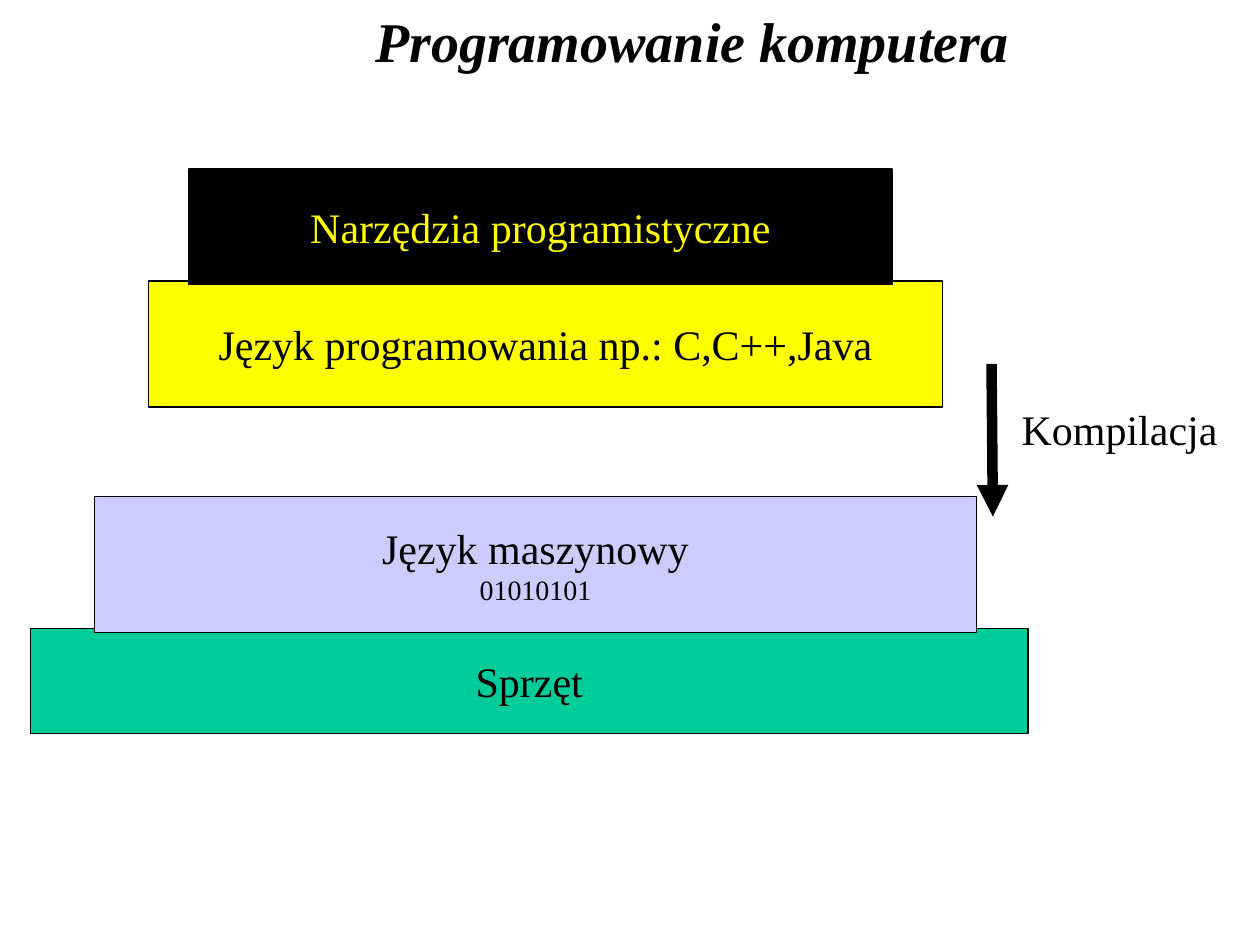
import pptx
import pptx.dml.color
import pptx.enum.shapes
import pptx.enum.text
import pptx.oxml
import pptx.oxml.ns
import pptx.util
from pptx.util import Inches


def color(value):
    return pptx.dml.color.RGBColor.from_string(value)


def write(paragraph, text, size=24, fill="000000", bold=False, italic=False,
          font="Times New Roman", align=pptx.enum.text.PP_ALIGN.LEFT):
    paragraph.alignment = align
    run = paragraph.add_run()
    run.text = text
    run.font.name = font
    run.font.size = pptx.util.Pt(size)
    run.font.bold = bold
    run.font.italic = italic
    run.font.color.rgb = color(fill)


class Diagram:
    ink = "000000"
    outline = 0.75

    def __init__(self, slide):
        self.slide = slide

    def label(self, text, left, top, width, height, **style):
        shape = self.slide.shapes.add_textbox(
            Inches(left), Inches(top), Inches(width), Inches(height))
        frame = shape.text_frame
        frame.word_wrap = False
        frame.auto_size = pptx.enum.text.MSO_AUTO_SIZE.SHAPE_TO_FIT_TEXT
        write(frame.paragraphs[0], text, **style)

    def layer(self, lines, left, top, width, height, fill, text_fill=ink):
        shape = self.slide.shapes.add_shape(
            pptx.enum.shapes.MSO_SHAPE.RECTANGLE,
            Inches(left), Inches(top), Inches(width), Inches(height))
        shape.shadow.inherit = False
        shape.fill.solid()
        shape.fill.fore_color.rgb = color(fill)
        shape.line.color.rgb = color(self.ink)
        shape.line.width = pptx.util.Pt(self.outline)
        frame = shape.text_frame
        frame.word_wrap = False
        frame.vertical_anchor = pptx.enum.text.MSO_ANCHOR.MIDDLE
        for index, (text, size) in enumerate(lines):
            paragraph = frame.add_paragraph() if index else frame.paragraphs[0]
            write(paragraph, text, size=size, fill=text_fill,
                  align=pptx.enum.text.PP_ALIGN.CENTER)

    def arrow(self, start_x, start_y, end_x, end_y, width):
        connector = self.slide.shapes.add_connector(
            pptx.enum.shapes.MSO_CONNECTOR.STRAIGHT,
            Inches(start_x), Inches(start_y), Inches(end_x), Inches(end_y))
        connector.line.color.rgb = color(self.ink)
        connector.line.width = pptx.util.Pt(width)
        head = pptx.oxml.parse_xml(
            f'<a:tailEnd {pptx.oxml.ns.nsdecls("a")} type="triangle"/>')
        line = connector.line._get_or_add_ln()
        line.set("cap", "sq")
        line.append(head)
        properties = connector._element.spPr
        properties.append(pptx.oxml.parse_xml(
            f'<a:effectLst {pptx.oxml.ns.nsdecls("a")}/>'))


def main():
    presentation = pptx.Presentation()
    presentation.slide_width = Inches(10)
    presentation.slide_height = Inches(7.5)
    diagram = Diagram(presentation.slides.add_slide(presentation.slide_layouts[6]))

    diagram.label("Programowanie komputera", 2.88, 0, 5.23, 0.64,
                  size=32, bold=True, italic=True)
    diagram.layer([("Sprzęt", 24)], 0.24, 4.99, 7.92, 0.83, "00CC99")
    diagram.layer([("Język maszynowy", 24), ("01010101", 16)],
                  0.75, 3.94, 7, 1.08, "CCCCFF")
    diagram.layer([("Język programowania np.: C,C++,Java", 24)],
                  1.18, 2.23, 6.3, 1, "FFFF00")
    diagram.label("Kompilacja", 8.01, 3.15, 1.8, 0.5)
    diagram.arrow(7.87, 2.93, 7.88, 4.1, 6)
    diagram.layer([("Narzędzia programistyczne", 24)],
                  1.5, 1.34, 5.58, 0.92, "000000", text_fill="FFFF00")

    presentation.save("out.pptx")


if __name__ == "__main__":
    main()
